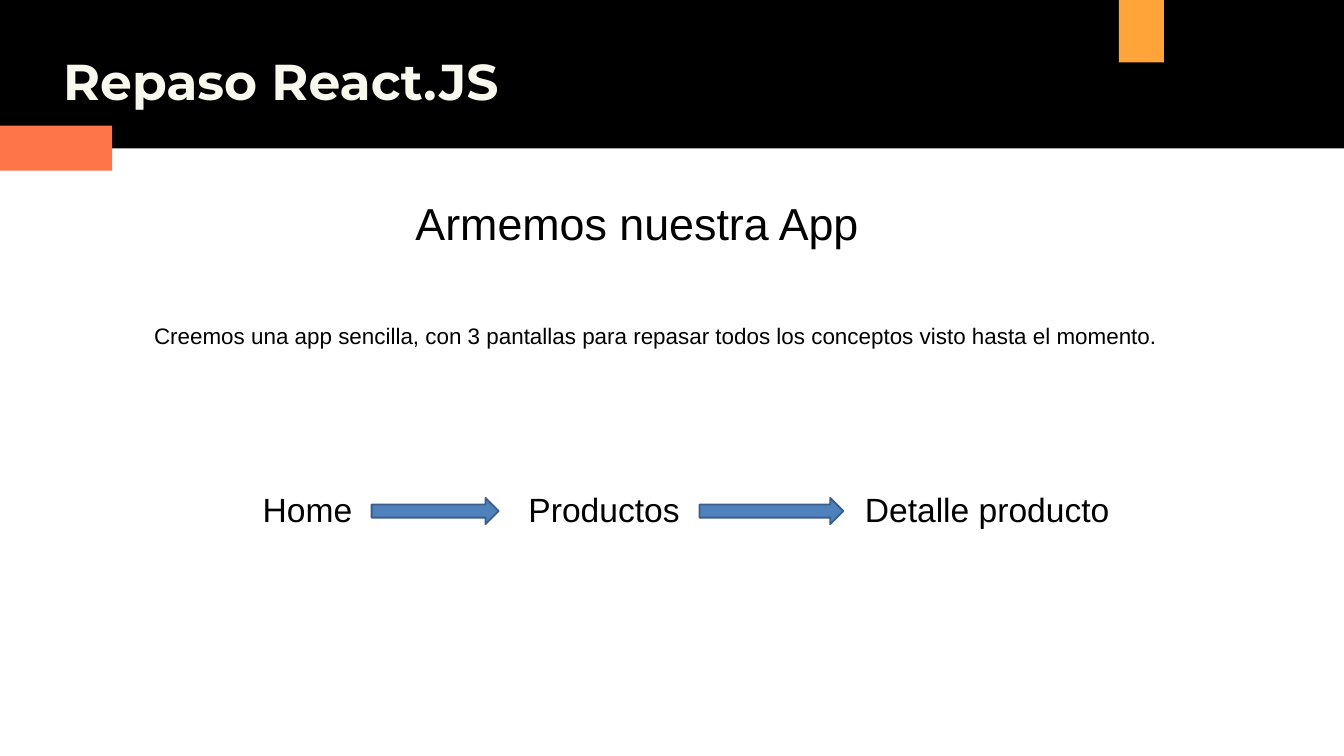
import pptx
import pptx.dml.color
import pptx.enum.shapes
import pptx.enum.text
import pptx.util

RGBColor = pptx.dml.color.RGBColor
Shape = pptx.enum.shapes.MSO_SHAPE
Align = pptx.enum.text.PP_ALIGN

PX = 9144  # EMU per px, 100 px to the inch
SLIDE_SIZE = (2000, 1125)

BLACK = RGBColor(0x00, 0x00, 0x00)
IVORY = RGBColor(0xF8, 0xF8, 0xEE)
CORAL = RGBColor(0xFE, 0x75, 0x4A)
ORANGE = RGBColor(0xFF, 0xA4, 0x39)
BLUE = RGBColor(0x4F, 0x81, 0xBD)
DARK_BLUE = RGBColor(0x3A, 0x5F, 0x8C)

# Boxes are left, top, width, height; header blocks bleed past the slide edge.
HEADER_BLOCKS = [
    ((-129, -80, 2154, 301), BLACK),
    ((-76, 187, 243, 67), CORAL),
    ((1665, -156, 67, 249), ORANGE),
]
TITLE = ("Repaso React.JS", (94, 40, 1161, 126))
HEADING = ("Armemos nuestra App", (112, 275, 1672, 133))
DESCRIPTION = (
    "Creemos una app sencilla, con 3 pantallas para repasar todos los "
    "conceptos visto hasta el momento.",
    (112, 474, 1726, 50),
)

SCREEN_TOP, SCREEN_HEIGHT, ARROW_HEIGHT = 722, 71, 39
SCREENS = [("Home", 341, 233), ("Productos", 756, 286), ("Detalle producto", 1255, 428)]
ARROWS = [(553, 189), (1041, 214)]  # left, width


def to_emu(box):
    return [length * PX for length in box]


def add_block(slide, kind, box, fill, line=None):
    shape = slide.shapes.add_shape(kind, *to_emu(box))
    shape.shadow.inherit = False
    shape.fill.solid()
    shape.fill.fore_color.rgb = fill
    if line is None:
        shape.line.fill.background()
    else:
        shape.line.color.rgb = line
        shape.line.width = pptx.util.Pt(2)


def add_text(slide, text, box, size, font="Arial", color=BLACK, bold=False,
             align=Align.CENTER, spacing=None, inset=True):
    frame = slide.shapes.add_textbox(*to_emu(box)).text_frame
    frame.word_wrap = True
    frame.auto_size = pptx.enum.text.MSO_AUTO_SIZE.SHAPE_TO_FIT_TEXT
    if not inset:
        frame.margin_left = frame.margin_right = 0
        frame.margin_top = frame.margin_bottom = 0
    paragraph = frame.paragraphs[0]
    paragraph.text = text
    paragraph.alignment = align
    paragraph.line_spacing = spacing
    paragraph.font.name = font
    paragraph.font.size = pptx.util.Pt(size)
    paragraph.font.bold = bold
    paragraph.font.color.rgb = color


def main():
    presentation = pptx.Presentation()
    presentation.slide_width, presentation.slide_height = to_emu(SLIDE_SIZE)
    slide = presentation.slides.add_slide(presentation.slide_layouts[6])

    for box, color in HEADER_BLOCKS:
        add_block(slide, Shape.RECTANGLE, box, color)
    add_text(slide, *TITLE, 54, font="Montserrat", color=IVORY, bold=True,
             align=Align.LEFT, spacing=1.39, inset=False)
    add_text(slide, *HEADING, 48, spacing=1.15)
    add_text(slide, *DESCRIPTION, 24)

    for name, left, width in SCREENS:
        add_text(slide, name, (left, SCREEN_TOP, width, SCREEN_HEIGHT), 36)
    arrow_top = SCREEN_TOP + (SCREEN_HEIGHT - ARROW_HEIGHT) // 2 + 3
    for left, width in ARROWS:
        add_block(slide, Shape.RIGHT_ARROW, (left, arrow_top, width, ARROW_HEIGHT),
                  BLUE, DARK_BLUE)

    presentation.save("out.pptx")


if __name__ == "__main__":
    main()
